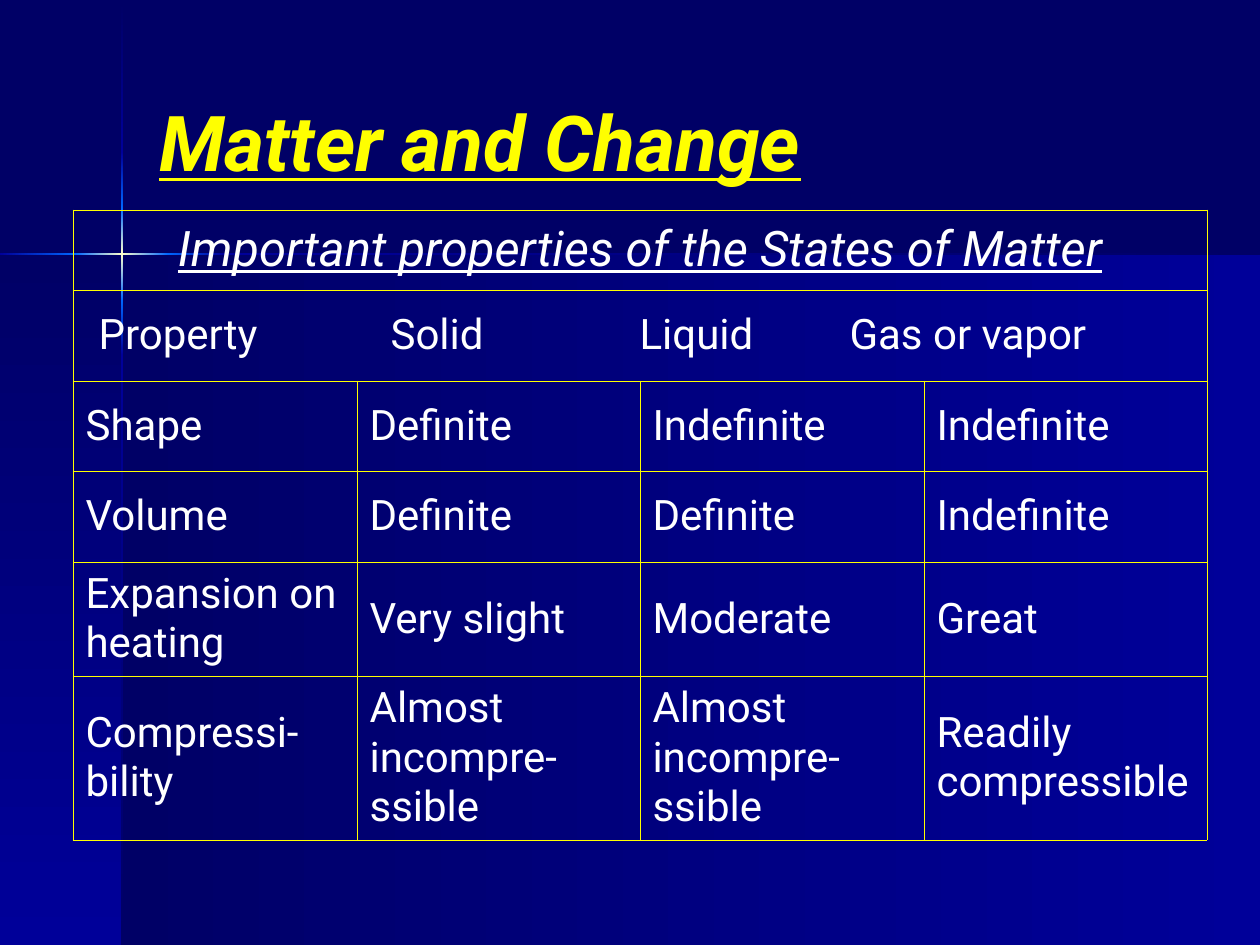
from dataclasses import dataclass
from itertools import pairwise

from lxml import etree
from pptx import Presentation
from pptx.dml.color import RGBColor
from pptx.enum.shapes import MSO_SHAPE
from pptx.enum.text import MSO_ANCHOR, PP_ALIGN
from pptx.oxml.ns import qn
from pptx.util import Emu, Pt

RECTANGLE = MSO_SHAPE.RECTANGLE
MIDDLE = MSO_ANCHOR.MIDDLE
LEFT, CENTER = PP_ALIGN.LEFT, PP_ALIGN.CENTER
PIXELS_PER_INCH = 126
RIGHTWARD, DOWNWARD = 0, 270


@dataclass(frozen=True)
class Theme:
    """Colours, font and type sizes of the slide."""

    font: str = "Roboto"
    night: str = "000066"
    navy: str = "000099"
    azure: str = "0066FF"
    glow: str = "FFFFCC"
    yellow: str = "FFFF00"
    white: str = "FFFFFF"
    title: int = 44
    caption: int = 28
    body: int = 24
    border: float = 0.45


THEME = Theme()
PROPERTY_ROWS = [
    ["Shape", "Definite", "Indefinite", "Indefinite"],
    ["Volume", "Definite", "Definite", "Indefinite"],
    ["Expansion on heating", "Very slight", "Moderate", "Great"],
    ["Compressi-bility", "Almost incompre-ssible", "Almost incompre-ssible", "Readily compressible"],
]
COLUMN_WIDTHS = [284, 283, 284, 283]
ROW_HEIGHTS = [80, 91, 90, 91, 114, 164]
HEADING_STOPS = [13, 305, 554, 764]
BEAM_COLORS = [
    [THEME.night, THEME.navy],
    [THEME.navy, THEME.azure],
    [THEME.azure, THEME.glow, THEME.azure],
    [THEME.azure, THEME.navy],
    [THEME.navy, THEME.night],
]


def px(length):
    """Turn pixels into EMU."""
    return Emu(round(length * 914400 / PIXELS_PER_INCH))


def add_gradient_box(page, left, top, width, height, colors, angle):
    """Add a borderless rectangle whose colours are evenly spaced."""
    box = page.shapes.add_shape(RECTANGLE, px(left), px(top), px(width), px(height))
    box.shadow.inherit = False
    box.line.fill.background()
    box.fill.gradient()
    box.fill.gradient_angle = angle
    stops = next(box._element.spPr.iter(qn("a:gsLst")))
    for stop in list(stops):
        stops.remove(stop)
    for index, color in enumerate(colors):
        position = round(100000 * index / (len(colors) - 1))
        stop = etree.SubElement(stops, qn("a:gs"), pos=str(position))
        etree.SubElement(stop, qn("a:srgbClr"), val=color)


def add_backdrop(page):
    """Add the two panels and the crossing beams of light."""
    panel_colors = [THEME.night, THEME.navy]
    add_gradient_box(page, 122, 255, 1138, 690, panel_colors, RIGHTWARD)
    add_gradient_box(page, 0, 255, 122, 690, panel_colors, DOWNWARD)
    for (top, bottom), colors in zip(pairwise([1, 152, 208, 300, 355, 945]), BEAM_COLORS):
        add_gradient_box(page, 121, top, 2, bottom - top, colors, DOWNWARD)
    for (left, right), colors in zip(pairwise([0, 76, 168, 223, 1260]), BEAM_COLORS[1:]):
        add_gradient_box(page, left, 253, right - left, 2, colors, RIGHTWARD)


def format_runs(para, size, color, bold=False, italic=False, underline=False):
    """Give every run of a paragraph one look."""
    for span in para.runs:
        font = span.font
        font.name, font.size = THEME.font, Pt(size)
        font.bold, font.italic, font.underline = bold, italic, underline
        font.color.rgb = RGBColor.from_string(color)


def add_title(page, text):
    """Add the slide title."""
    box = page.shapes.add_textbox(px(147), px(42), px(1040), px(198))
    frame = box.text_frame
    frame.word_wrap = True
    frame.vertical_anchor = MIDDLE
    frame.text = text
    format_runs(frame.paragraphs[0], THEME.title, THEME.yellow, True, True, True)


def add_tab_stops(para, positions):
    """Set left tab stops on a paragraph."""
    tabs = etree.SubElement(para._p.get_or_add_pPr(), qn("a:tabLst"))
    for position in positions:
        etree.SubElement(tabs, qn("a:tab"), pos=str(px(position)), algn="l")


def style_cell(cell):
    """Draw the four borders of a cell and clear its fill."""
    properties = cell._tc.get_or_add_tcPr()
    for side in ("a:lnL", "a:lnR", "a:lnT", "a:lnB"):
        line = etree.SubElement(properties, qn(side), w=str(Pt(THEME.border)))
        fill = etree.SubElement(line, qn("a:solidFill"))
        etree.SubElement(fill, qn("a:srgbClr"), val=THEME.yellow)
    cell.fill.background()
    cell.vertical_anchor = MIDDLE


def write_cell(cell, text, size=THEME.body, align=LEFT, emphasis=False):
    """Write one paragraph into a cell."""
    cell.text_frame.text = text
    para = cell.text_frame.paragraphs[0]
    para.alignment = align
    format_runs(para, size, THEME.white, italic=emphasis, underline=emphasis)
    return para


def add_property_table(page):
    """Add the table of the states of matter."""
    frame = page.shapes.add_table(
        len(ROW_HEIGHTS), len(COLUMN_WIDTHS), px(73), px(210),
        px(sum(COLUMN_WIDTHS)), px(sum(ROW_HEIGHTS)),
    )
    table = frame.table
    table.first_row = table.horz_banding = False
    for column, width in zip(table.columns, COLUMN_WIDTHS):
        column.width = px(width)
    for row, height in zip(table.rows, ROW_HEIGHTS):
        row.height = px(height)
    for cell in table.iter_cells():
        style_cell(cell)
    for index in (0, 1):
        table.cell(index, 0).merge(table.cell(index, len(COLUMN_WIDTHS) - 1))
    caption = "Important properties of the States of Matter"
    write_cell(table.cell(0, 0), caption, THEME.caption, CENTER, True)
    headings = write_cell(table.cell(1, 0), "\tProperty\tSolid\tLiquid\tGas or vapor")
    add_tab_stops(headings, HEADING_STOPS)
    for row_index, texts in enumerate(PROPERTY_ROWS, start=2):
        for column_index, text in enumerate(texts):
            write_cell(table.cell(row_index, column_index), text)


def main():
    """Build and save the slide."""
    deck = Presentation()
    deck.slide_width, deck.slide_height = px(1260), px(945)
    page = deck.slides.add_slide(deck.slide_layouts[6])
    background = page.background.fill
    background.solid()
    background.fore_color.rgb = RGBColor.from_string(THEME.night)
    add_backdrop(page)
    add_title(page, "Matter and Change")
    add_property_table(page)
    deck.save("out.pptx")


if __name__ == "__main__":
    main()
